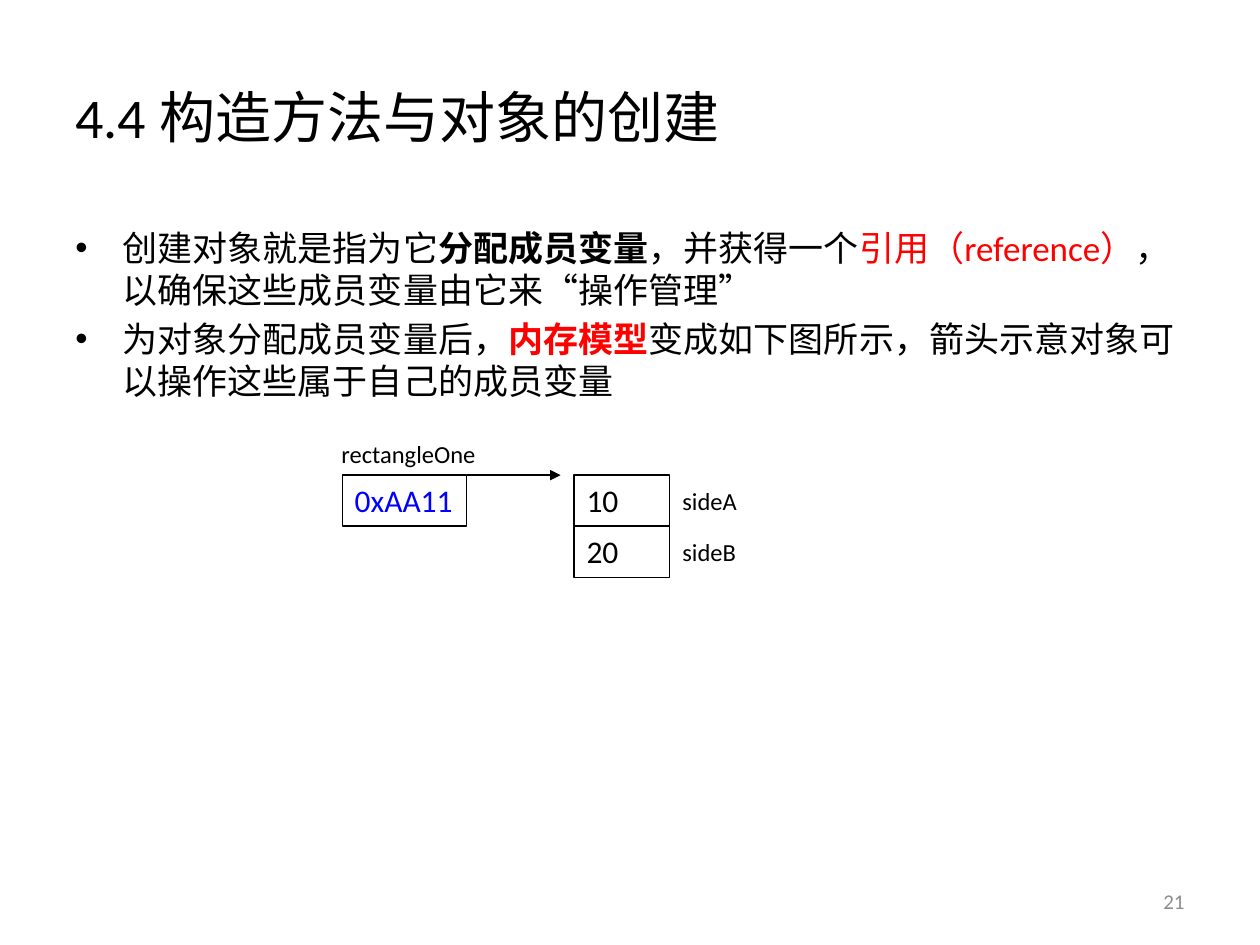
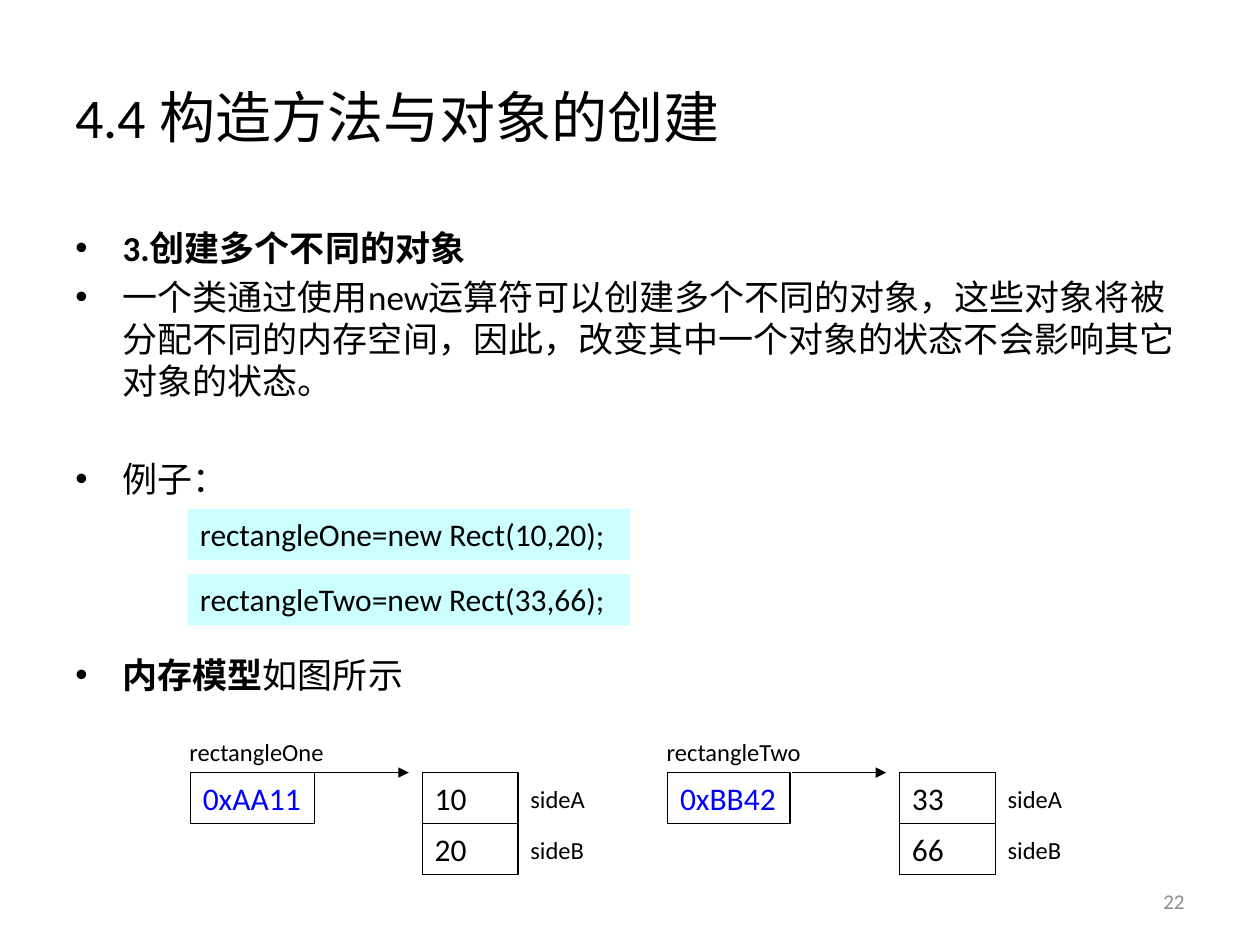
"""Build two slides on object creation and its memory model."""
from typing import Any, NamedTuple

import lxml.etree
import pptx
import pptx.dml.color
import pptx.enum.shapes
import pptx.enum.text
import pptx.oxml.ns
import pptx.util

Pt = pptx.util.Pt
RGB = pptx.dml.color.RGBColor
Anchor = pptx.enum.text.MSO_ANCHOR
Align = pptx.enum.text.PP_ALIGN
Fit = pptx.enum.text.MSO_AUTO_SIZE
qn = pptx.oxml.ns.qn

BLACK = RGB(0x00, 0x00, 0x00)
RED = RGB(0xFF, 0x00, 0x00)
BLUE = RGB(0x00, 0x00, 0xFF)
GRAY = RGB(0x8C, 0x8C, 0x8C)
CYAN = RGB(0xCC, 0xFF, 0xFF)
FACE = "Calibri"
TITLE = "4.4 构造方法与对象的创建"
ROW = 29.2


class Span(NamedTuple):
    text: str
    bold: bool = False
    color: RGB = BLACK


class Item(NamedTuple):
    spans: list[Span]
    gap: float = 4


class Model(NamedTuple):
    left: float
    top: float
    name: str
    ref: str
    width: float
    vals: tuple[str, str]


class Code(NamedTuple):
    top: float
    text: str


class Page(NamedTuple):
    number: int
    items: list[Item]
    codes: list[Code]
    models: list[Model]


def style(para: Any, size: float, color: RGB = BLACK) -> None:
    para.font.name = FACE
    para.font.size = Pt(size)
    para.font.color.rgb = color


def label(shapes: Any, x: float, y: float, w: float, h: float, text: str,
          size: float, color: RGB = BLACK, wrap: bool = True) -> Any:
    frame = shapes.add_textbox(Pt(x), Pt(y), Pt(w), Pt(h)).text_frame
    frame.word_wrap = wrap
    frame.paragraphs[0].text = text
    style(frame.paragraphs[0], size, color)
    return frame


def box(shapes: Any, x: float, y: float, w: float, text: str,
        color: RGB = BLACK, fill: RGB | None = None, wrap: bool = False) -> None:
    rect = shapes.add_shape(pptx.enum.shapes.MSO_SHAPE.RECTANGLE,
                            Pt(x), Pt(y), Pt(w), Pt(ROW))
    rect.shadow.inherit = False
    if fill is None:
        rect.fill.background()
        rect.line.color.rgb = BLACK
        rect.line.width = Pt(0.75)
    else:
        rect.fill.solid()
        rect.fill.fore_color.rgb = fill
        rect.line.fill.background()
    frame = rect.text_frame
    frame.word_wrap = wrap
    frame.auto_size = Fit.SHAPE_TO_FIT_TEXT
    frame.vertical_anchor = Anchor.TOP
    para = frame.paragraphs[0]
    para.text = text
    para.alignment = Align.LEFT
    style(para, 18, color)


def arrow(shapes: Any, x: float, y: float, end: float) -> None:
    line = shapes.add_connector(pptx.enum.shapes.MSO_CONNECTOR.STRAIGHT,
                                Pt(x), Pt(y), Pt(end), Pt(y))
    line.line.color.rgb = BLACK
    line.line.width = Pt(0.75)
    props = line.element.spPr
    lxml.etree.SubElement(props.find(qn("a:ln")), qn("a:tailEnd"), type="triangle")
    lxml.etree.SubElement(props, qn("a:effectLst"))


def draw(slide: Any, model: Model) -> None:
    shapes = slide.shapes.add_group_shape().shapes
    x, y = model.left, model.top
    box(shapes, x, y, model.width, model.ref, BLUE)
    arrow(shapes, x + 71.2, y, x + 124.8)
    label(shapes, x - 7.6, y - 24, 92.2, 24.3, model.name, 14, wrap=False)
    for row, (val, name) in enumerate(zip(model.vals, ("sideA", "sideB"))):
        top = y + row * ROW
        box(shapes, x + 132.5, top, 54.7, val, wrap=True)
        label(shapes, x + 187.2, top + 2.9, 46, 24.3, name, 14, wrap=False)


def outline(slide: Any, items: list[Item]) -> None:
    frame = slide.shapes.add_textbox(Pt(36), Pt(126), Pt(648), Pt(356.4)).text_frame
    frame.word_wrap = True
    for index, item in enumerate(items):
        para = frame.add_paragraph() if index else frame.paragraphs[0]
        props = para._p.get_or_add_pPr()
        props.set("marL", str(Pt(27)))
        props.set("indent", str(Pt(-27)))
        lxml.etree.SubElement(props, qn("a:buFont"), typeface="Arial")
        lxml.etree.SubElement(props, qn("a:buChar"), char="•")
        para.space_before = Pt(item.gap)
        style(para, 20)
        for span in item.spans:
            run = para.add_run()
            run.text = span.text
            run.font.bold = span.bold
            run.font.color.rgb = span.color


def build(deck: Any, page: Page) -> None:
    slide = deck.slides.add_slide(deck.slide_layouts[6])
    head = label(slide.shapes, 36, 21.6, 648, 90, TITLE, 32)
    head.vertical_anchor = Anchor.MIDDLE
    outline(slide, page.items)
    for code in page.codes:
        box(slide.shapes, 107.2, code.top, 252.8, code.text, fill=CYAN)
    for model in page.models:
        draw(slide, model)
    foot = label(slide.shapes, 516, 500.5, 168, 28.8, str(page.number), 12, GRAY)
    foot.vertical_anchor = Anchor.MIDDLE
    foot.paragraphs[0].alignment = Align.RIGHT


PAGES = [
    Page(21, [
        Item([Span("创建对象就是指为它"), Span("分配成员变量", True),
              Span("，并获得一个"), Span("引用（reference）", color=RED),
              Span("，以确保这些成员变量由它来“操作管理”")], 0),
        Item([Span("为对象分配成员变量后，"), Span("内存模型", True, RED),
              Span("变成如下图所示，箭头示意对象可以操作这些属于自己的成员变量")]),
    ], [], [Model(195.6, 271.5, "rectangleOne", "0xAA11", 71, ("10", "20"))]),
    Page(22, [
        Item([Span("3.创建多个不同的对象", True)], 0),
        Item([Span("一个类通过使用new运算符可以创建多个不同的对象，这些对象将被"
                   "分配不同的内存空间，因此，改变其中一个对象的状态不会影响其它"
                   "对象的状态。")]),
        Item([Span("例子：")], 32),
        Item([Span("内存模型", True), Span("如图所示")], 88),
    ], [
        Code(291, "rectangleOne=new Rect(10,20);"),
        Code(328.2, "rectangleTwo=new Rect(33,66);"),
    ], [
        Model(108.8, 441.5, "rectangleOne", "0xAA11", 71, ("10", "20")),
        Model(381.5, 441.5, "rectangleTwo", "0xBB42", 70, ("33", "66")),
    ]),
]


def main() -> None:
    deck = pptx.Presentation()
    deck.slide_width, deck.slide_height = Pt(720), Pt(540)
    for page in PAGES:
        build(deck, page)
    deck.save("out.pptx")


main()
